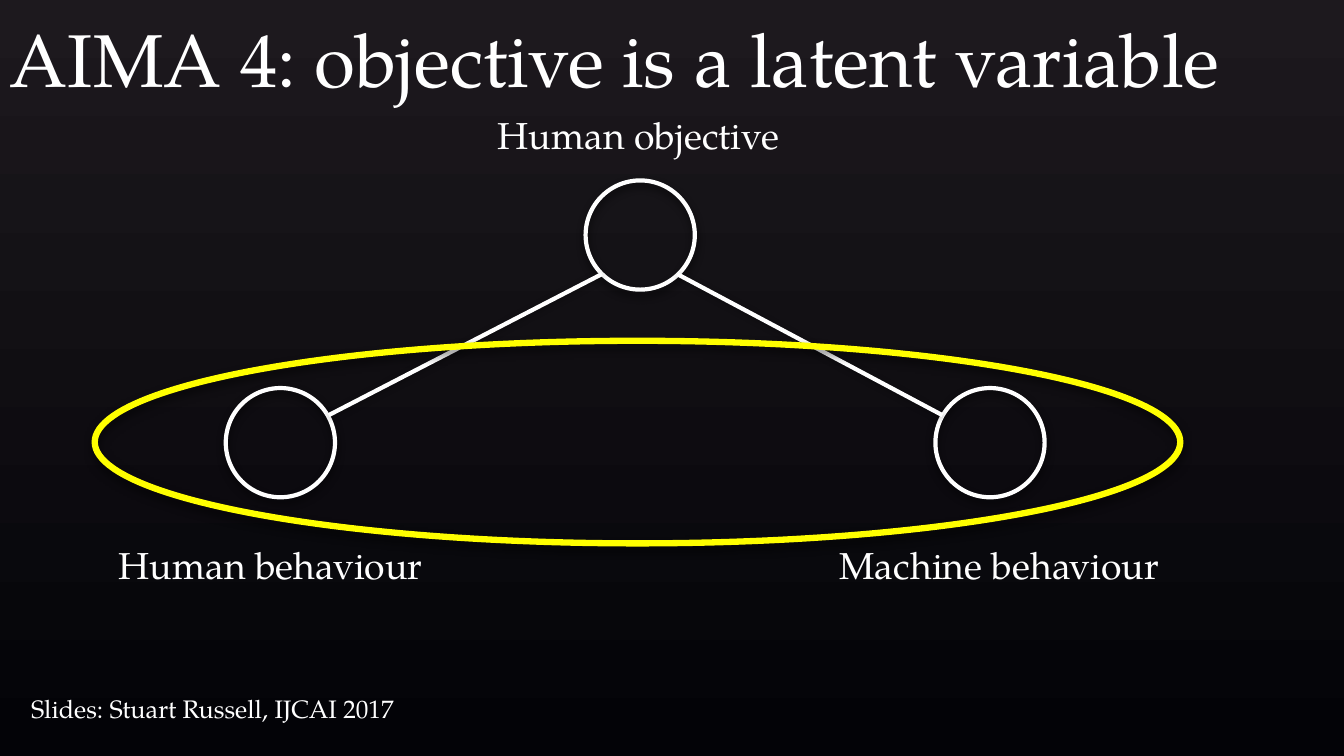
import pptx
import pptx.util
import pptx.dml.color
import pptx.enum.shapes
import pptx.enum.text
import pptx.oxml
import pptx.oxml.ns

Pt = pptx.util.Pt
COLORS = {"top": "1D191E", "bottom": "030307", "white": "FFFFFF",
          "highlight": "FFFF00", "shadow": "000000"}
FONT = "TeX Gyre Pagella"


def rgb(name):
    return pptx.dml.color.RGBColor.from_string(COLORS[name])


def outline(part, color, width, alpha, blur, distance):
    """Set the line and a soft shadow falling straight down."""
    part.line.color.rgb = rgb(color)
    part.line.width = Pt(width)
    part.element.spPr.append(pptx.oxml.parse_xml(
        f'<a:effectLst {pptx.oxml.ns.nsdecls("a")}>'
        f'<a:outerShdw blurRad="{Pt(blur)}" dist="{Pt(distance)}" dir="5400000" rotWithShape="0">'
        f'<a:srgbClr val="{COLORS["shadow"]}"><a:alpha val="{alpha * 1000}"/></a:srgbClr>'
        '</a:outerShdw></a:effectLst>'))


deck = pptx.Presentation()
deck.slide_width, deck.slide_height = Pt(960), Pt(540)
slide = deck.slides.add_slide(deck.slide_layouts[6])

# Background fading to black
backdrop = slide.background.fill
backdrop.gradient()
backdrop.gradient_angle = 270
for stop, name in zip(backdrop.gradient_stops, ("top", "bottom")):
    stop.color.rgb = rgb(name)

# Nodes, then the ellipse around the observed pair
NODE = 78
ELLIPSE = pptx.enum.shapes.MSO_SHAPE.OVAL
nodes = [(161.3, 277.2, 15), (668.2, 277.2, -15), (418.3, 128.9, 0)]
for left, top, turn in nodes:
    node = slide.shapes.add_shape(ELLIPSE, Pt(left), Pt(top), Pt(NODE), Pt(NODE))
    node.rotation = turn
    node.fill.background()
    outline(node, "white", 3, 60, 6, 3)

# Links from the objective to each behaviour
for x1, y1, x2, y2 in [(234.7, 296.6, 429.9, 195.8), (483.8, 195.8, 673.2, 296.6)]:
    link = slide.shapes.add_connector(
        pptx.enum.shapes.MSO_CONNECTOR.STRAIGHT, Pt(x1), Pt(y1), Pt(x2), Pt(y2))
    outline(link, "white", 3, 32, 5, 1)

observed = slide.shapes.add_shape(ELLIPSE, Pt(67.7), Pt(243.4), Pt(775.4), Pt(144.7))
observed.fill.background()
outline(observed, "highlight", 4.5, 60, 6, 3)

# Title, node labels and source line
texts = [
    ("AIMA 4: objective is a latent variable", 0, 5, 960, 72, 53.3),
    ("Human objective", 348.5, 76.3, 222, 39.6, 26.7),
    ("Human behaviour", 77.8, 383, 238, 39.6, 26.7),
    ("Machine behaviour", 592.6, 383, 250, 39.6, 26.7),
    ("Slides: Stuart Russell, IJCAI 2017", 15.1, 491.8, 282, 28.8, 18),
]
for words, left, top, width, height, size in texts:
    frame = slide.shapes.add_textbox(Pt(left), Pt(top), Pt(width), Pt(height)).text_frame
    frame.word_wrap = True
    frame.vertical_anchor = pptx.enum.text.MSO_ANCHOR.BOTTOM
    paragraph = frame.paragraphs[0]
    paragraph.text = words
    paragraph.font.name = FONT
    paragraph.font.size = Pt(size)
    paragraph.font.color.rgb = rgb("white")

deck.save("out.pptx")
